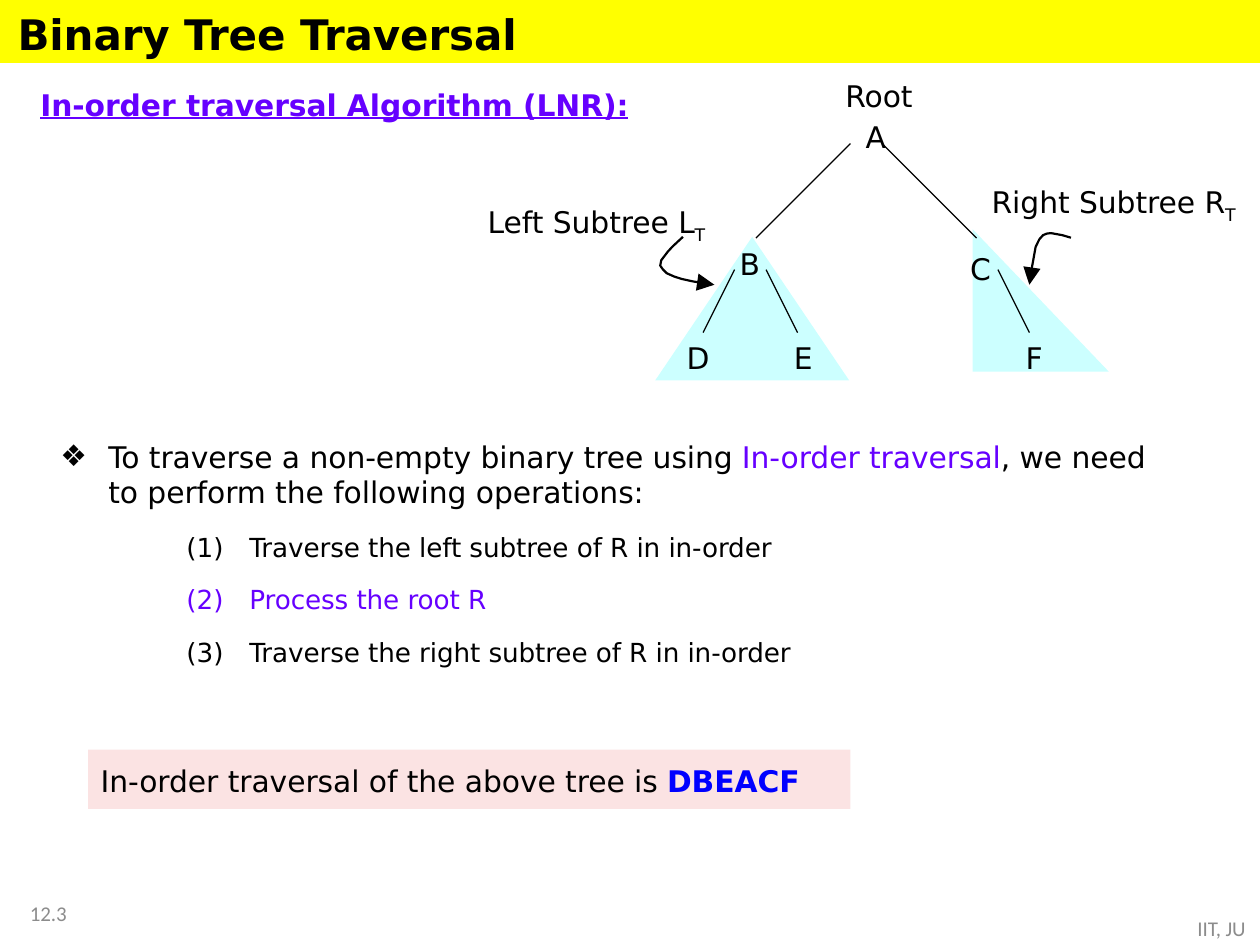
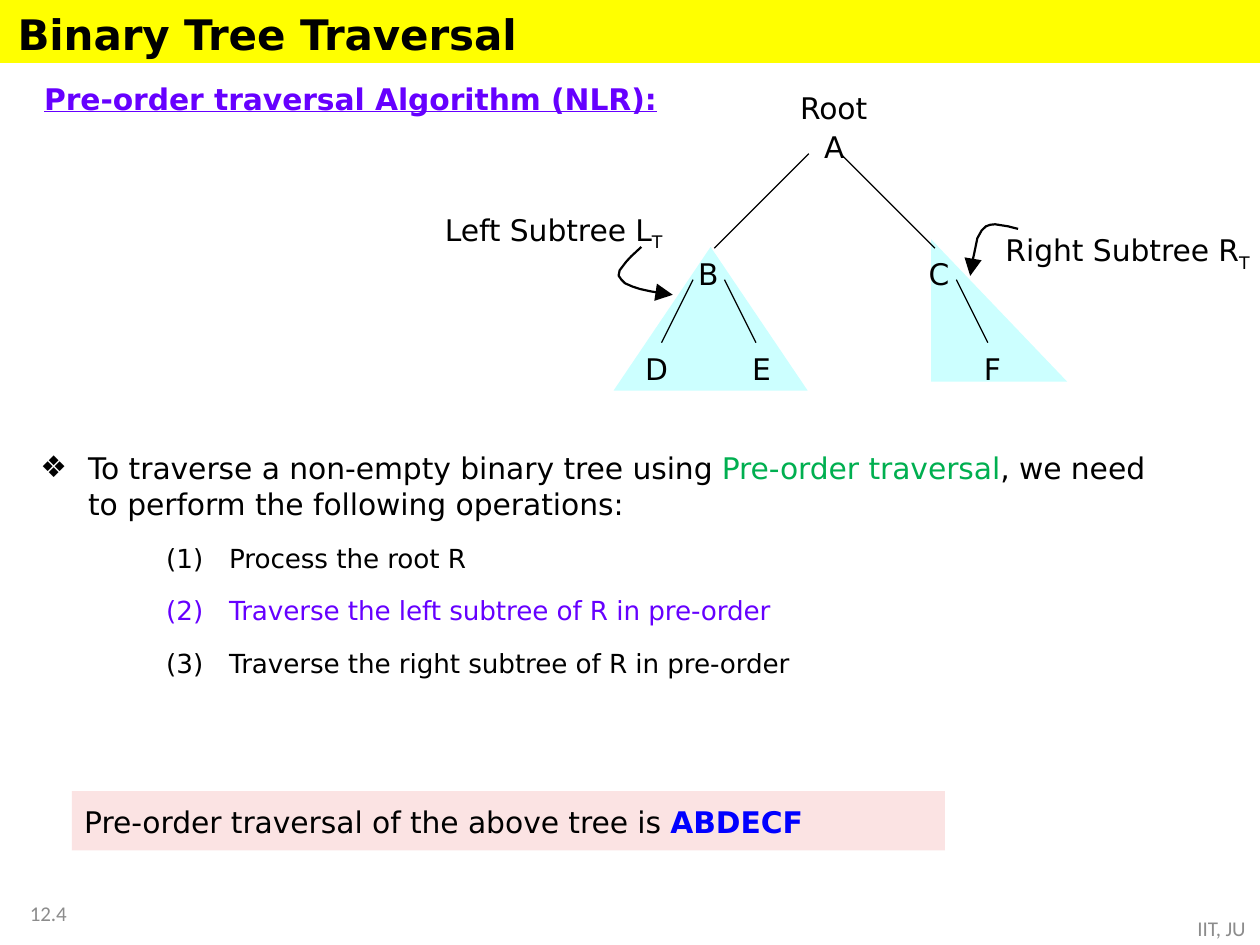
from dataclasses import dataclass

from lxml.etree import SubElement
from pptx import Presentation
from pptx.dml.color import RGBColor
from pptx.enum.shapes import MSO_CONNECTOR as Connector, MSO_SHAPE as Shape
from pptx.enum.text import MSO_ANCHOR as Anchor, PP_ALIGN as Align
from pptx.oxml.ns import qn
from pptx.util import Inches, Pt


@dataclass(frozen=True)
class Theme:
    black: str = "000000"
    violet: str = "6600FF"
    green: str = "00AF50"
    blue: str = "0000FF"
    gray: str = "8C8C8C"
    band: str = "FFFF00"
    subtree: str = "CCFFFF"
    answer: str = "FBE3E3"
    font: str = "DejaVu Sans"
    footer_font: str = "Calibri"
    title_size: float = 24
    body_size: float = 17
    step_size: float = 15
    footer_size: float = 12
    branch_width: float = 0.72
    pointer_width: float = 1.25


THEME = Theme()
TITLE = "Binary Tree Traversal"
FOOTER = "IIT, JU"
CHAPTER = 12
FIRST_PAGE = 3

TRAVERSALS = [
    dict(
        order="In-order", code="LNR", result="DBEACF", accent=THEME.violet,
        steps=["Traverse the left subtree of R in in-order",
               "Process the root R",
               "Traverse the right subtree of R in in-order"],
        heading_at=(0.32, 0.66), body_box=(0.47, 3.45, 8.8, 1.85),
        answer_box=(0.7, 5.95, 6.05, 0.47),
        tree_shift=(0, 0), root_at=(6.71, 0.59), c_at=(7.7, 1.96),
        left_at=(3.87, 1.59), right_at=(7.87, 1.43),
        right_pointer=(8.17, 1.85, 0.33, 0.41),
    ),
    dict(
        order="Pre-order", code="NLR", result="ABDECF", accent=THEME.green,
        steps=["Process the root R",
               "Traverse the left subtree of R in pre-order",
               "Traverse the right subtree of R in pre-order"],
        heading_at=(0.35, 0.61), body_box=(0.31, 3.54, 8.93, 1.85),
        answer_box=(0.57, 6.28, 6.93, 0.47),
        tree_shift=(-0.33, 0.08), root_at=(6.35, 0.68), c_at=(7.37, 2.0),
        left_at=(3.53, 1.65), right_at=(7.98, 1.81),
        right_pointer=(7.7, 1.78, 0.38, 0.41),
    ),
]
HIGHLIGHTED_STEP = 1

NODES = {"A": (6.87, 0.91), "B": (5.87, 1.92), "D": (5.45, 2.67),
         "E": (6.3, 2.67), "F": (8.14, 2.67)}
BRANCHES = [(6.75, 1.14, 6, 1.89), (7, 1.14, 7.75, 1.89),
            (5.83, 2.14, 5.58, 2.64), (6.08, 2.14, 6.33, 2.64),
            (7.92, 2.14, 8.17, 2.64)]
SUBTREES = [(Shape.ISOSCELES_TRIANGLE, (5.2, 1.88, 1.54, 1.14)),
            (Shape.RIGHT_TRIANGLE, (7.72, 1.82, 1.08, 1.13))]
LEFT_POINTER = (5.24, 1.88, 0.43, 0.38)
LEFT_CURVE = [(0.42, 0), (0.23, 0.2), (0.14, 0.31), (0.02, 0.49), (0, 0.6),
              (0.05, 0.68), (0.12, 0.76), (0.26, 0.83), (0.4, 0.88),
              (0.6, 0.93), (0.81, 0.97), (1, 1)]
RIGHT_CURVE = [(1, 0.09), (0.79, 0.04), (0.52, 0), (0.42, 0.01), (0.33, 0.04),
               (0.24, 0.12), (0.15, 0.27), (0.09, 0.54), (0.03, 0.8), (0, 1)]


def rgb(color):
    return RGBColor.from_string(color)


def moved(spot, shift):
    return (spot[0] + shift[0], spot[1] + shift[1], *spot[2:])


def write(paragraph, *parts, size=THEME.body_size, font=THEME.font):
    for words, style in parts:
        run = paragraph.add_run()
        run.text = words
        run.font.name = font
        run.font.size = Pt(size)
        run.font.bold = style.get("bold", False)
        run.font.underline = style.get("underline", False)
        run.font.color.rgb = rgb(style.get("color", THEME.black))
        properties = run._r.get_or_add_rPr()
        properties.set("spc", "-5")
        if style.get("subscript"):
            properties.set("baseline", "-25000")


def set_insets(frame, left=0, top=0.03, anchor=Anchor.TOP):
    frame.word_wrap = True
    frame.vertical_anchor = anchor
    frame.margin_left, frame.margin_top = Inches(left), Inches(top)
    frame.margin_right = frame.margin_bottom = 0


def add_text(slide, box, *parts, align=Align.LEFT, top=0.03,
             anchor=Anchor.TOP, **type_style):
    frame = slide.shapes.add_textbox(*map(Inches, box)).text_frame
    set_insets(frame, top=top, anchor=anchor)
    frame.paragraphs[0].alignment = align
    write(frame.paragraphs[0], *parts, **type_style)
    return frame


def add_filled(slide, kind, box, color):
    shape = slide.shapes.add_shape(kind, *map(Inches, box))
    shape.shadow.inherit = False
    shape.fill.solid()
    shape.fill.fore_color.rgb = rgb(color)
    shape.line.fill.background()
    return shape


def add_branch(slide, ends):
    branch = slide.shapes.add_connector(Connector.STRAIGHT, *map(Inches, ends))
    branch.line.color.rgb = rgb(THEME.black)
    branch.line.width = Pt(THEME.branch_width)
    SubElement(branch._element.spPr, qn("a:effectLst"))


def add_pointer(slide, curve, box):
    left, top, width, height = box
    points = [(Inches(left + x * width), Inches(top + y * height)) for x, y in curve]
    builder = slide.shapes.build_freeform(*points[0])
    builder.add_line_segments(points[1:], close=False)
    pointer = builder.convert_to_shape()
    pointer.shadow.inherit = False
    pointer.fill.background()
    pointer.line.color.rgb = rgb(THEME.black)
    pointer.line.width = Pt(THEME.pointer_width)
    SubElement(pointer.line._get_or_add_ln(), qn("a:tailEnd"),
               type="triangle", w="lg", len="lg")


def set_bullet(paragraph, margin, hang, tag, **attributes):
    properties = paragraph._p.get_or_add_pPr()
    properties.set("marL", str(Inches(margin)))
    properties.set("indent", str(-Inches(hang)))
    SubElement(properties, qn("a:buFont"), typeface=THEME.font)
    SubElement(properties, qn(tag), **attributes)


def add_frame(slide, page):
    add_filled(slide, Shape.RECTANGLE, (0, 0, 10, 0.5), THEME.band)
    add_text(slide, (0.09, 0.03, 4.06, 0.45), (TITLE, {"bold": True}),
             align=Align.CENTER, anchor=Anchor.MIDDLE, size=THEME.title_size)
    for words, box, align in [
        (f"{CHAPTER}.{page}", (0.05, 7.14, 0.48, 0.21), Align.RIGHT),
        (FOOTER, (9.4, 7.27, 0.59, 0.19), Align.CENTER),
    ]:
        add_text(slide, box, (words, {"color": THEME.gray}), align=align, top=0,
                 anchor=Anchor.MIDDLE, size=THEME.footer_size, font=THEME.footer_font)


def add_tree(slide, traversal):
    shift = traversal["tree_shift"]
    for kind, box in SUBTREES:
        add_filled(slide, kind, moved(box, shift), THEME.subtree)
    for x1, y1, x2, y2 in BRANCHES:
        add_branch(slide, moved((x1, y1), shift) + moved((x2, y2), shift))
    spots = {name: moved(spot, shift) for name, spot in NODES.items()}
    spots["C"] = traversal["c_at"]
    for name, spot in spots.items():
        add_text(slide, (*spot, 0.3, 0.31), (name, {}))
    add_text(slide, (*traversal["root_at"], 0.7, 0.31), ("Root", {}))
    for side in ("Left", "Right"):
        add_text(slide, (*traversal[f"{side.lower()}_at"], 2.02, 0.31),
                 (f"{side} Subtree {side[0]}", {}), ("T", {"subscript": True}))
    add_pointer(slide, LEFT_CURVE, moved(LEFT_POINTER, shift))
    add_pointer(slide, RIGHT_CURVE, traversal["right_pointer"])


def add_algorithm(slide, traversal):
    order = traversal["order"]
    add_text(slide, (*traversal["heading_at"], 5.1, 0.31),
             (f"{order} traversal Algorithm ({traversal['code']}):",
              {"bold": True, "underline": True, "color": THEME.violet}))
    body = add_text(slide, traversal["body_box"],
                    ("To traverse a non-empty binary tree using ", {}),
                    (f"{order} traversal", {"color": traversal["accent"]}),
                    (", we need to perform the following operations:", {}))
    set_bullet(body.paragraphs[0], 0.39, 0.38, "a:buChar", char="❖")
    for index, words in enumerate(traversal["steps"]):
        step = body.add_paragraph()
        step.level = 1
        step.space_before = Pt(12)
        set_bullet(step, 1.51, 0.5, "a:buAutoNum", type="arabicParenBoth")
        color = THEME.violet if index == HIGHLIGHTED_STEP else THEME.black
        write(step, (words, {"color": color}), size=THEME.step_size)


def add_answer(slide, traversal):
    answer = add_filled(slide, Shape.RECTANGLE, traversal["answer_box"], THEME.answer)
    set_insets(answer.text_frame, left=0.1, top=0.1)
    line = answer.text_frame.paragraphs[0]
    line.alignment = Align.LEFT
    write(line, (f"{traversal['order']} traversal of the above tree is ", {}),
          (traversal["result"], {"bold": True, "color": THEME.blue}))


def main():
    deck = Presentation()
    deck.slide_width, deck.slide_height = Inches(10), Inches(7.5)
    for page, traversal in enumerate(TRAVERSALS, FIRST_PAGE):
        slide = deck.slides.add_slide(deck.slide_layouts[6])
        add_frame(slide, page)
        add_tree(slide, traversal)
        add_algorithm(slide, traversal)
        add_answer(slide, traversal)
    deck.save("out.pptx")


if __name__ == "__main__":
    main()
